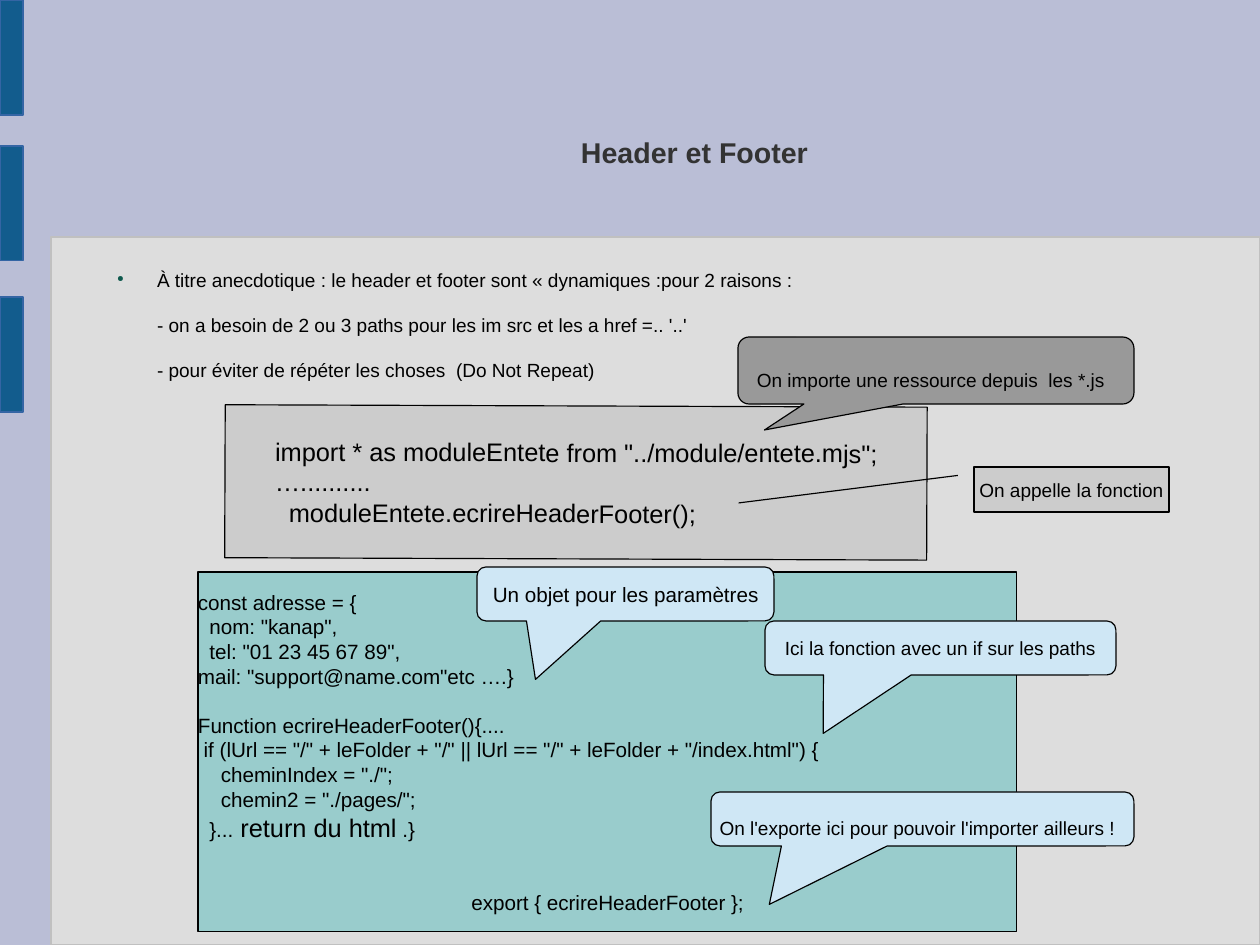
import pptx
import pptx.util
import pptx.dml.color
import pptx.enum.shapes
import pptx.enum.text
import lxml.etree

# Content
TITLE = "Header et Footer"
INTRO = [
    "À titre anecdotique : le header et footer sont « dynamiques :pour 2 raisons :",
    "- on a besoin de 2 ou 3 paths pour les im src et les a href =.. '..'",
    "- pour éviter de répéter les choses  (Do Not Repeat)",
]
CALLER = [
    'import * as moduleEntete from "../module/entete.mjs";',
    "…..........",
    "  moduleEntete.ecrireHeaderFooter();",
]
MODULE = [
    "const adresse = {",
    '  nom: "kanap",',
    '  tel: "01 23 45 67 89",',
    'mail: "support@name.com"etc ….}',
    "Function ecrireHeaderFooter(){....",
    ' if (lUrl == "/" + leFolder + "/" || lUrl == "/" + leFolder + "/index.html") {',
    '    cheminIndex = "./";',
    '    chemin2 = "./pages/";',
    "  }...| return du html| .}",
    "export { ecrireHeaderFooter };",
]
# Callouts: text, box in px, tip as share of the box, fill, size, shift (right, top) in px
IMPORT = ("On importe une ressource depuis  les *.js",
          (738, 337, 396, 67), (-0.433, 0.888), "999999", 12, (10, 18))
NOTES = [
    ("Ici la fonction avec un if sur les paths",
     (765, 621, 351, 54), (-0.334, 1.583), "CFE7F5", 12, (0, 0)),
    ("On l'exporte ici pour pouvoir l'importer ailleurs !",
     (711, 792, 423, 54), (-0.362, 1.583), "CFE7F5", 12, (10, 18)),
    ("Un objet pour les paramètres",
     (477, 567, 297, 54), (-0.303, 1.583), "CFE7F5", 13, (0, 0)),
]
CALL = "On appelle la fonction"

KIND = pptx.enum.shapes.MSO_SHAPE
ALIGN = pptx.enum.text.PP_ALIGN
ANCHOR = pptx.enum.text.MSO_ANCHOR
Pt = pptx.util.Pt


def px(n):
    return pptx.util.Emu(n * 8000)


def color(code):
    return pptx.dml.color.RGBColor.from_string(code)


def style(font, size, code="000000", bold=False):
    font.name, font.size, font.bold = "Arial", Pt(size), bold
    font.color.rgb = color(code)


def frame(shape, anchor, left=0, top=0, right=0):
    text = shape.text_frame
    text.word_wrap = True
    text.auto_size = pptx.enum.text.MSO_AUTO_SIZE.NONE
    text.vertical_anchor = anchor
    text.margin_left, text.margin_top = px(left), px(top)
    text.margin_right, text.margin_bottom = px(right), 0
    return text


def write(text, lines, size, align=ALIGN.LEFT):
    text.text = "\n".join(lines)
    for para in text.paragraphs:
        para.alignment = align
        style(para.font, size)
    return text.paragraphs


def block(slide, kind, box, fill, line="000000"):
    shape = slide.shapes.add_shape(kind, *map(px, box))
    shape.shadow.inherit = False
    shape.fill.solid()
    shape.fill.fore_color.rgb = color(fill)
    shape.line.color.rgb = color(line)
    shape.line.width = 0
    return shape


def note(slide, words, box, tip, fill, size, shift):
    shape = block(slide, KIND.ROUNDED_RECTANGULAR_CALLOUT, box, fill)
    for i, part in enumerate((*tip, 0.167)):
        shape.adjustments[i] = part
    right, top = shift
    text = frame(shape, ANCHOR.MIDDLE, top=top, right=right)
    write(text, [words], size, ALIGN.CENTER)


def bullet(para):
    props = para._p.get_or_add_pPr()
    for tag, key, value in (("buClr", None, None), ("buSzPct", "val", "45000"),
                            ("buChar", "char", "●")):
        node = lxml.etree.SubElement(props, pptx.oxml.ns.qn("a:" + tag))
        if key:
            node.set(key, value)
        else:
            lxml.etree.SubElement(node, pptx.oxml.ns.qn("a:srgbClr")).set("val", "0E594D")


def main():
    deck = pptx.Presentation()
    deck.slide_width, deck.slide_height = px(1260), px(945)
    slide = deck.slides.add_slide(deck.slide_layouts[5])
    slide.background.fill.solid()
    slide.background.fill.fore_color.rgb = color("BABED6")

    # Title
    title = slide.shapes.title
    title.left, title.top, title.width, title.height = map(px, (144, 73, 1101, 158))
    head = write(frame(title, ANCHOR.MIDDLE), [TITLE], 18, ALIGN.CENTER)[0]
    style(head.font, 18, "333333", True)

    # Panel and side bars
    block(slide, KIND.RECTANGLE, (51, 237, 1209, 708), "DDDDDD", "C0C0C0")
    for top in (0, 146, 297):
        block(slide, KIND.RECTANGLE, (0, top, 23, 115), "125C8D", "3465A4")

    # Introduction
    intro = slide.shapes.add_textbox(*map(px, (103, 268, 789, 183)))
    text = frame(intro, ANCHOR.TOP)
    text.text = "\n".join(INTRO)
    bullet(text.paragraphs[0])
    for i, para in enumerate(text.paragraphs):
        props = para._p.get_or_add_pPr()
        props.set("marL", str(px(54)))
        props.set("indent", str(0 if i else px(-40)))
        para.space_after = Pt(14.1)
        style(para.font, 12)

    # Calling code
    caller = block(slide, KIND.RECTANGLE, (225, 406, 702, 153), "CCCCCC")
    caller.rotation = 0.2
    write(frame(caller, ANCHOR.MIDDLE, left=50), CALLER, 16)
    note(slide, *IMPORT)

    # Module code
    module = block(slide, KIND.RECTANGLE, (198, 572, 819, 360), "99CCCC")
    paras = write(frame(module, ANCHOR.MIDDLE), MODULE, 13)
    paras[4].space_before = Pt(15)
    paras[-1].space_before = Pt(30)
    paras[-1].alignment = ALIGN.CENTER
    last = paras[8]
    parts = last.text.split("|")
    last.clear()
    for part, size in zip(parts, (13, 16, 13)):
        run = last.add_run()
        run.text = part
        style(run.font, size)

    # Call label with its leader line
    label = block(slide, KIND.LINE_CALLOUT_1, (974, 467, 195, 45), "CCCCCC")
    for i, part in enumerate((0.188, -0.083, 0.799, -1.207)):
        label.adjustments[i] = part
    write(frame(label, ANCHOR.MIDDLE), [CALL], 12, ALIGN.CENTER)

    # Notes on the module
    for item in NOTES:
        note(slide, *item)

    deck.save("out.pptx")


if __name__ == "__main__":
    main()
